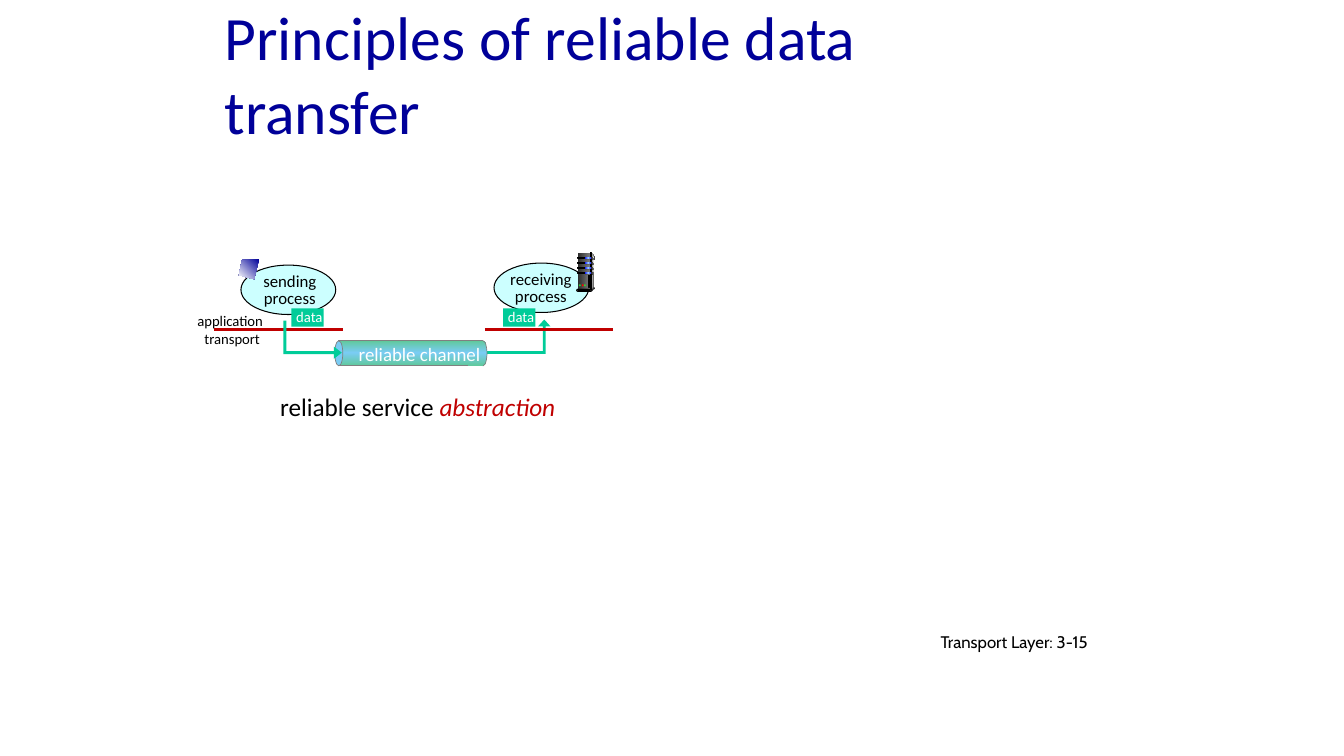
from copy import deepcopy

from pptx import Presentation
from pptx.dml.color import RGBColor
from pptx.enum.shapes import MSO_CONNECTOR, MSO_SHAPE
from pptx.enum.text import MSO_ANCHOR, MSO_AUTO_SIZE, PP_ALIGN
from pptx.oxml.ns import qn
from pptx.util import Inches, Pt

COLS, ROWS = 133.3, 75
BLACK, WHITE, NAVY, RED = "000000", "FFFFFF", "000099", "C00000"
GREEN, AQUA, GRAY, COAL = "00CC99", "CCFFFF", "808080", "333333"
PIPE = (270, (0, "60C99C"), (0.52, "7ACCF4"), (1, "60C99C"))
GLOW = (0, (0, "0000FF"), (0.5, "99CCFF"), (1, "0000FF"))
EDGE = (0, (0, COAL), (0.5, "DDDDDD"), (1, COAL))
DARK = (0, (0, "292929"), (1, GRAY))


def tint(code):
    return RGBColor.from_string(code)


def write(para, text, size=12, color=BLACK, font="Calibri", italic=False):
    run = para.add_run()
    run.text = text
    run.font.size = Pt(size)
    run.font.name = font
    run.font.italic = italic
    run.font.color.rgb = tint(color)


class Board:
    """Holds the deck, its current slide and the grid."""

    def __init__(self):
        self.deck = Presentation()
        self.deck.slide_width = Inches(13.33)
        self.deck.slide_height = Inches(7.5)
        self.col = self.deck.slide_width / COLS
        self.row = self.deck.slide_height / ROWS
        self.slide = self.deck.slides.add_slide(self.deck.slide_layouts[6])
        self.items = self.slide.shapes

    def spot(self, x, y):
        return round(x * self.col), round(y * self.row)

    def paint(self, shape, fill, line=None, width=0.75):
        """Fill with a hex colour, or with (clockwise angle, *stops)."""
        shape.shadow.inherit = False
        if isinstance(fill, str):
            shape.fill.solid()
            shape.fill.fore_color.rgb = tint(fill)
        else:
            angle, *stops = fill
            shape.fill.gradient()
            shape.fill.gradient_angle = (360 - angle) % 360
            marks = shape._element.spPr.findall(".//" + qn("a:gs"))
            for _ in stops[len(marks):]:
                marks[-1].addnext(deepcopy(marks[-1]))
            for mark, (place, code) in zip(shape.fill.gradient_stops, stops):
                mark.position = place
                mark.color.rgb = tint(code)
        if line:
            shape.line.color.rgb = tint(line)
            shape.line.width = Pt(width)
        else:
            shape.line.fill.background()

    def shape(self, kind, x, y, w, h, fill, line=None, width=0.75, adj=(), turn=0):
        shape = self.items.add_shape(kind, *self.spot(x, y), *self.spot(w, h))
        for i, value in enumerate(adj):
            shape.adjustments[i] = value
        shape.rotation = turn
        self.paint(shape, fill, line, width)

    def rect(self, *args, **form):
        self.shape(MSO_SHAPE.RECTANGLE, *args, **form)

    def oval(self, *args, **form):
        self.shape(MSO_SHAPE.OVAL, *args, **form)

    def pill(self, *args, **form):
        self.shape(MSO_SHAPE.ROUNDED_RECTANGLE, *args, adj=(0.5,), **form)

    def bend(self, *args, **form):
        self.shape(MSO_SHAPE.BENT_UP_ARROW, *args, **form)

    def poly(self, points, fill):
        first, *rest = [self.spot(*point) for point in points]
        path = self.items.build_freeform(*first)
        path.add_line_segments(rest, close=True)
        self.paint(path.convert_to_shape(), fill)

    def rule(self, x, y, end):
        line = self.items.add_connector(
            MSO_CONNECTOR.STRAIGHT, *self.spot(x, y), *self.spot(end, y))
        line.line.color.rgb = tint(RED)
        line.line.width = Pt(1.75)
        line._element.spPr.get_or_add_effectLst() if hasattr(
            line._element.spPr, "get_or_add_effectLst") else None

    def label(self, x, y, w, h, text, wrap=True, grow=True, align=PP_ALIGN.LEFT,
              space=1.0, anchor=MSO_ANCHOR.TOP, **form):
        frame = self.items.add_textbox(*self.spot(x, y), *self.spot(w, h)).text_frame
        frame.word_wrap = wrap
        frame.auto_size = MSO_AUTO_SIZE.SHAPE_TO_FIT_TEXT if grow else MSO_AUTO_SIZE.NONE
        frame.vertical_anchor = anchor
        para = frame.paragraphs[0]
        para.alignment = align
        para.line_spacing = space
        write(para, text, **form)
        return para


def server(board):
    # Tower body
    board.poly([(58.7, 25.1), (59, 25.5), (58.9, 28.6), (58.6, 28.7)],
               (0, (0, "DDDDDD"), (1, COAL)))
    board.rect(57.3, 25.1, 1.3, 3.6, DARK)
    board.poly([(58.7, 25.3), (58.9, 25.6), (58.7, 28.7)],
               (0, (0, GRAY), (1, "F8F8F8")))
    board.rect(58.6, 25.1, 0.1, 3.7, EDGE, BLACK)
    # Drive bays
    for bay in range(4):
        y = 25.5 + 0.5 * bay
        board.rect(57.3, y, 0.7, 0.1, BLACK, BLACK)
        board.pill(58, y, 0.7, 0.2, BLACK)
        board.pill(58, y, 0.7, 0.2, GLOW)
        board.poly([(58.65, y), (58.95, y + 0.2), (58.95, y + 0.3),
                    (58.65, y + 0.15)], DARK)
    # Base and lamps
    board.oval(58.9, 28.5, 0.1, 0.2, COAL)
    board.poly([(58.7, 28.7), (58.7, 28.9), (58.9, 28.7), (58.9, 28.5)], COAL)
    board.pill(57.2, 28.7, 1.5, 0.2, "DDDDDD", BLACK)
    board.pill(57.3, 28.7, 1.3, 0.1, (0, (0, BLACK), (1, GRAY)), BLACK)
    for x, lamp in ((57.4, "33CC33"), (57.7, "FF0000"), (57.9, "33CC33")):
        board.oval(x, 28.2, 0.2, 0.2, lamp)
    board.rect(58.4, 27.3, 0.1, 1.2, "292929", BLACK)


def main():
    board = Board()

    # Arrow up to the receiver
    board.bend(47.6, 31.7, 7, 3.4, GREEN, adj=(0.08, 0.18, 0.2))

    # Processes with their data
    for name, x, y, left, data in (("sending", 23.9, 26.3, 24.6, 28.9),
                                   ("receiving", 49, 26.1, 49.5, 49.9)):
        board.oval(x, y, 9.4, 4.9, AQUA, BLACK)
        board.label(left, y + 0.5, 8.3, 4.2, name + " process",
                    align=PP_ALIGN.CENTER, space=0.8)
        board.rect(data, 30.6, 3.2, 1.8, GREEN)
        board.label(data - 0.5, 30, 5.4, 2.8, "data", size=10.5, color=WHITE)

    # Client screen and server
    board.poly([(25.7, 25.7), (24, 25.8), (23.7, 27.3), (25.2, 27.7)],
               (135, (0, NAVY), (1, WHITE)))
    server(board)

    # Channel
    board.rect(33.6, 33.8, 14.3, 2.5, PIPE, GRAY, 0.5)
    board.oval(33.2, 33.8, 0.8, 2.5, "7ACCF4", GRAY, 0.5)
    board.oval(47.5, 33.8, 0.8, 2.5, PIPE, GRAY, 0.5)
    board.rect(46.4, 33.8, 1.5, 2.5, PIPE)
    board.label(34.6, 33.5, 14.3, 3.3, "reliable channel", wrap=False,
                size=13.5, color=WHITE)

    # Layer borders and arrow from the sender
    board.rule(21.2, 32.7, 34)
    board.bend(29.1, 30.8, 3.8, 5.8, GREEN, adj=(0.08, 0.16, 0.21), turn=90)
    board.rule(48.1, 32.7, 60.8)
    board.label(18.6, 30.4, 8.6, 2.8, "application", wrap=False, size=10.5)
    board.label(19.3, 32.2, 7.6, 2.8, "transport", wrap=False, size=10.5)

    # Caption, footer and title
    para = board.label(26.8, 38.3, 30.4, 4, "reliable service ", size=18)
    write(para, "abstraction", size=18, color=RED, italic=True)
    board.label(92.3, 62.2, 22.5, 3, "Transport Layer: 3-15", grow=False, font="Cabin")
    board.label(21.3, 1, 85, 12.5, "Principles of reliable data transfer",
                grow=False, anchor=MSO_ANCHOR.MIDDLE, size=44, color=NAVY)

    board.deck.save("out.pptx")


if __name__ == "__main__":
    main()
